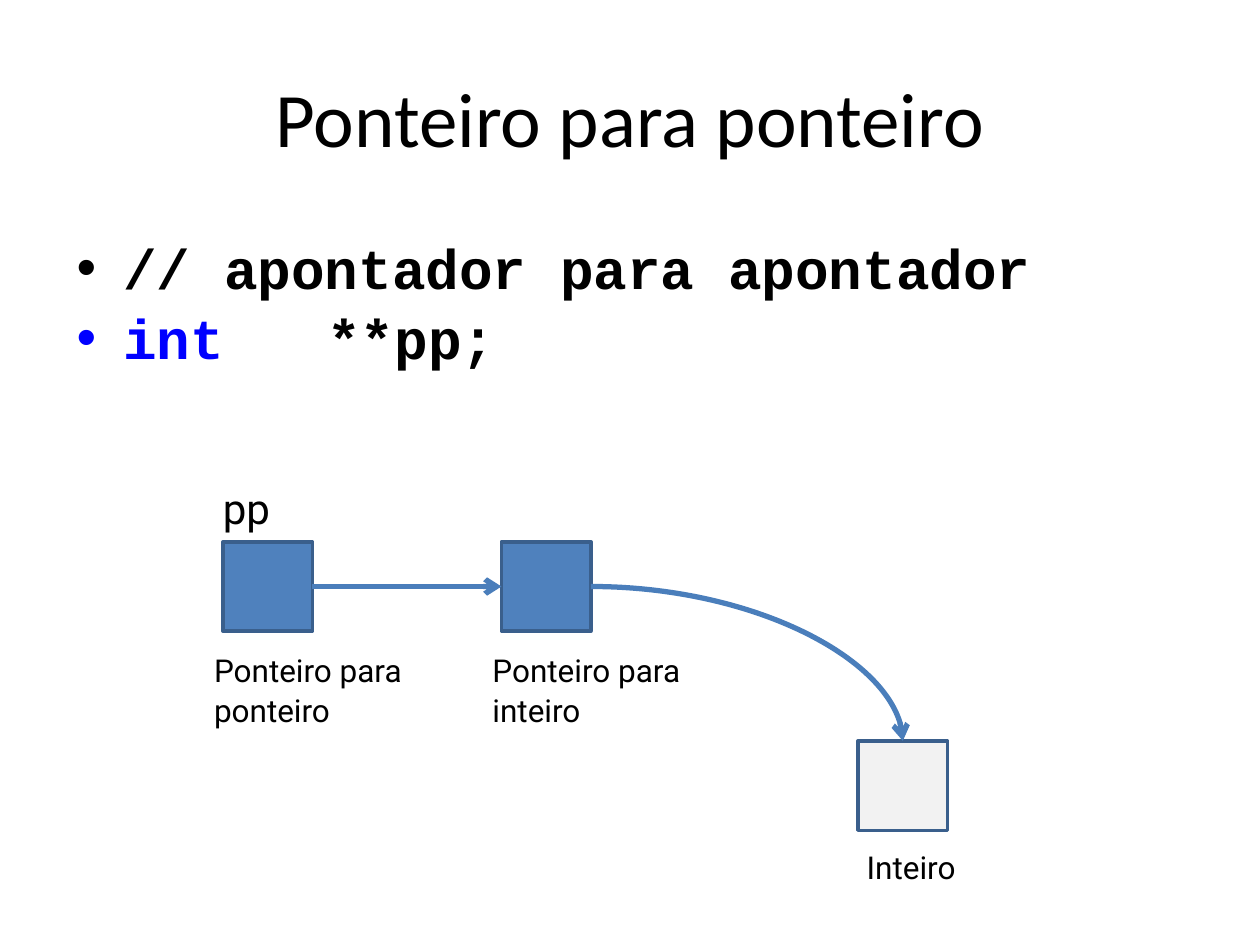
from lxml import etree
from pptx import Presentation
from pptx.dml.color import RGBColor
from pptx.enum import shapes, text
from pptx.oxml.ns import qn
from pptx.util import Inches, Pt

BLACK = RGBColor(0, 0, 0)
KEYWORD = RGBColor(0, 0, 0xFF)
POINTER_FILL = RGBColor(0x4F, 0x81, 0xBD)
INTEGER_FILL = RGBColor(0xF2, 0xF2, 0xF2)
BOX_LINE = RGBColor(0x3A, 0x5F, 0x8C)
ARROW = RGBColor(0x4A, 0x7E, 0xBB)
BOX_SIZE = 0.71
TOP, LEFT, RIGHT = 0, 1, 3  # connection sites of a rectangle


def set_font(font, name, size, color=BLACK, bold=False):
    font.name, font.size, font.bold = name, Pt(size), bold
    font.color.rgb = color


def add_text(slide, area, lines, name, size, wrap=False, spacing=1.08):
    box = slide.shapes.add_textbox(*map(Inches, area))
    frame = box.text_frame
    frame.word_wrap = wrap
    frame.text = "\n".join(lines)
    for paragraph in frame.paragraphs:
        paragraph.line_spacing = spacing
        set_font(paragraph.font, name, size)
    return frame


def add_title(slide, title):
    frame = add_text(slide, (0.5, 0.3, 9, 1.25), [title], "Calibri", 44, True, 1.0)
    frame.vertical_anchor = text.MSO_ANCHOR.MIDDLE
    frame.paragraphs[0].alignment = text.PP_ALIGN.CENTER


def add_bullet(paragraph, color):
    props = paragraph._p.get_or_add_pPr()
    props.set("marL", str(Inches(0.38)))
    props.set("indent", str(Inches(-0.37)))
    bullet_color = etree.SubElement(props, qn("a:buClr"))
    etree.SubElement(bullet_color, qn("a:srgbClr"), val=str(color))
    etree.SubElement(props, qn("a:buFont"), typeface="Arial")
    etree.SubElement(props, qn("a:buChar"), char="•")


def add_code(slide, lines):
    frame = slide.shapes.add_textbox(*map(Inches, (0.5, 1.75, 9, 1.61))).text_frame
    frame.word_wrap = True
    frame.margin_top = Inches(0.1)
    for i, pieces in enumerate(lines):
        paragraph = frame.add_paragraph() if i else frame.paragraphs[0]
        paragraph.space_before = Pt(2)
        add_bullet(paragraph, pieces[0][1])
        for words, color in pieces:
            run = paragraph.add_run()
            run.text = words
            set_font(run.font, "Courier New", 32, color, True)


def add_cell(slide, left, top, fill):
    cell = slide.shapes.add_shape(
        shapes.MSO_SHAPE.RECTANGLE, *map(Inches, (left, top, BOX_SIZE, BOX_SIZE)))
    cell.shadow.inherit = False
    cell.fill.solid()
    cell.fill.fore_color.rgb = fill
    cell.line.color.rgb = BOX_LINE
    cell.line.width = Pt(2)
    return cell


def add_arrow(slide, source, target, site, kind, preset=None):
    arrow = slide.shapes.add_connector(kind, 0, 0, 0, 0)
    arrow.begin_connect(source, RIGHT)
    arrow.end_connect(target, site)
    arrow.line.color.rgb = ARROW
    arrow.line.width = Pt(3)
    props = arrow._element.spPr
    if preset:
        props.find(qn("a:prstGeom")).set("prst", preset)
    etree.SubElement(props.find(qn("a:ln")), qn("a:tailEnd"), type="arrow")
    etree.SubElement(props, qn("a:effectLst"))


def main():
    prs = Presentation()
    prs.slide_width, prs.slide_height = Inches(10), Inches(7.5)
    slide = prs.slides.add_slide(prs.slide_layouts[6])

    # Title and declaration
    add_title(slide, "Ponteiro para ponteiro")
    add_code(slide, [
        [("// apontador para apontador", BLACK)],
        [("int\t\t", KEYWORD), ("**pp;", BLACK)],
    ])

    # Memory cells and the arrows between them
    pp = add_cell(slide, 1.77, 4.3, POINTER_FILL)
    pointer = add_cell(slide, 3.98, 4.3, POINTER_FILL)
    integer = add_cell(slide, 6.81, 5.88, INTEGER_FILL)
    add_arrow(slide, pp, pointer, LEFT, shapes.MSO_CONNECTOR.STRAIGHT)
    add_arrow(slide, pointer, integer, TOP, shapes.MSO_CONNECTOR.CURVE,
              "curvedConnector2")

    # Labels
    add_text(slide, (1.67, 3.75, 0.62, 0.5), ["pp"], "Roboto", 24)
    for left, target in ((1.6, "ponteiro"), (3.81, "inteiro")):
        add_text(slide, (left, 5.09, 1.95, 0.72), ["Ponteiro para ", target],
                 "Roboto", 18)
    add_text(slide, (6.78, 6.66, 1, 0.4), ["Inteiro"], "Roboto", 18)

    prs.save("out.pptx")


main()
